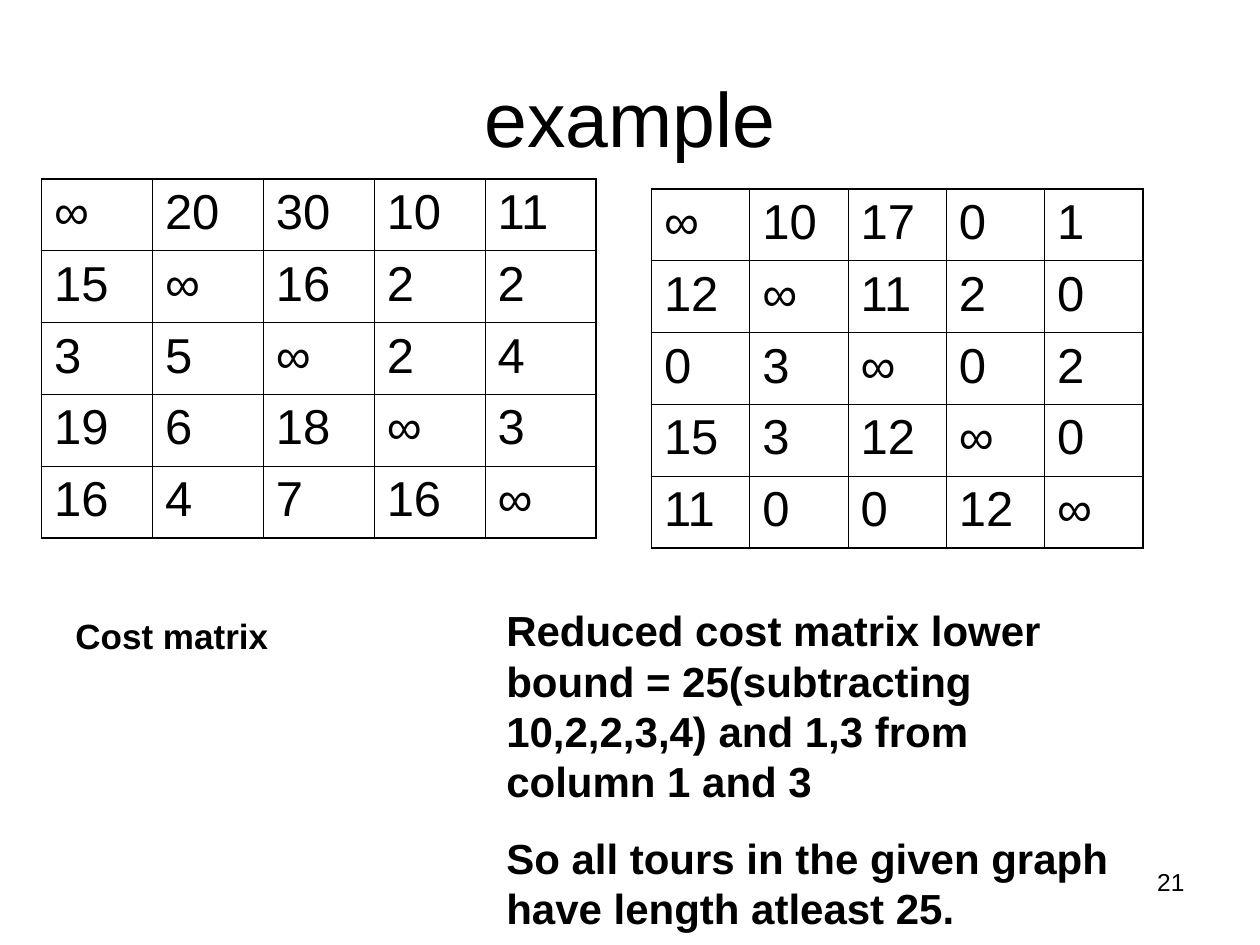
from lxml import etree
from pptx import Presentation
from pptx import util as u
from pptx.dml.color import RGBColor
from pptx.enum import text
from pptx.oxml.ns import qn

SLIDE_W, SLIDE_H = 10, 7.5
FONT, INK = "Arial", "000000"
OUTER, INNER = 1.08, 0.45  # border widths in points
ROW_H = 0.57

# Content: matrices as (left, top, column width, rows)
cost_matrix = (0.33, 1.42, 0.88, [
    "∞ 20 30 10 11",
    "15 ∞ 16 2 2",
    "3 5 ∞ 2 4",
    "19 6 18 ∞ 3",
    "16 4 7 16 ∞",
])
reduced_matrix = (5.17, 1.5, 0.78, [
    "∞ 10 17 0 1",
    "12 ∞ 11 2 0",
    "0 3 ∞ 0 2",
    "15 3 12 ∞ 0",
    "11 0 0 12 ∞",
])

# Content: captions as (box, size, bold, space before, align, anchor, grows, paragraphs)
LEFT, CENTER, RIGHT = text.PP_ALIGN.LEFT, text.PP_ALIGN.CENTER, text.PP_ALIGN.RIGHT
TOP, MIDDLE = text.MSO_ANCHOR.TOP, text.MSO_ANCHOR.MIDDLE
captions = [
    ((0.5, 0.3, 9, 1.25), 44, False, 0, CENTER, MIDDLE, False, ["example"]),
    ((3.92, 4.75, 5, 2.71), 24, True, 15, LEFT, TOP, True, [
        "Reduced cost matrix lower bound = 25(subtracting 10,2,2,3,4) "
        "and 1,3 from column 1 and 3",
        "So all tours in the given graph have length atleast 25.",
    ]),
    ((0.5, 4.83, 4.08, 0.44), 20, True, 12.5, LEFT, TOP, True, ["Cost matrix"]),
    ((7.17, 6.83, 2.33, 0.52), 14, False, 0, RIGHT, TOP, False, ["21"]),
]


def color(hex_string):
    return RGBColor.from_string(hex_string)


def write(paragraph, words, size, bold=False, before=0, align=LEFT):
    paragraph.alignment = align
    paragraph.space_before = u.Pt(before)
    run = paragraph.add_run()
    run.text = words
    run.font.name, run.font.size, run.font.bold = FONT, u.Pt(size), bold
    run.font.color.rgb = color(INK)


def set_borders(cell, widths):
    """Draw the left, right, top and bottom borders, which precede the fill."""
    props = cell._tc.get_or_add_tcPr()
    for place, (side, width) in enumerate(widths.items()):
        line = etree.Element(qn(f"a:ln{side}"), w=str(int(u.Pt(width))))
        fill = etree.SubElement(line, qn("a:solidFill"))
        etree.SubElement(fill, qn("a:srgbClr"), val=INK)
        props.insert(place, line)


def add_matrix(slide, left, top, col_w, lines):
    rows = [line.split() for line in lines]
    last = len(rows) - 1
    size = len(rows)
    table = slide.shapes.add_table(
        size, size, u.Inches(left), u.Inches(top),
        u.Inches(col_w * size), u.Inches(ROW_H * size)).table
    table.first_row = table.horz_banding = False
    for column in table.columns:
        column.width = u.Inches(col_w)
    for r, row in enumerate(rows):
        table.rows[r].height = u.Inches(ROW_H)
        for c, value in enumerate(row):
            cell = table.cell(r, c)
            cell.fill.background()
            write(cell.text_frame.paragraphs[0], value, 28, before=7)
            set_borders(cell, {
                "L": OUTER if c == 0 else INNER,
                "R": OUTER if c == last else INNER,
                "T": OUTER if r == 0 else INNER,
                "B": OUTER if r == last else INNER,
            })


def add_caption(slide, box, size, bold, before, align, anchor, grows, paragraphs):
    frame = slide.shapes.add_textbox(*map(u.Inches, box)).text_frame
    frame.word_wrap = True
    frame.vertical_anchor = anchor
    frame.auto_size = (text.MSO_AUTO_SIZE.SHAPE_TO_FIT_TEXT if grows
                       else text.MSO_AUTO_SIZE.NONE)
    for i, words in enumerate(paragraphs):
        paragraph = frame.add_paragraph() if i else frame.paragraphs[0]
        write(paragraph, words, size, bold, before, align)


def main():
    deck = Presentation()
    deck.slide_width, deck.slide_height = u.Inches(SLIDE_W), u.Inches(SLIDE_H)
    slide = deck.slides.add_slide(deck.slide_layouts[6])
    # Title, matrices, then the notes under them and the page number
    title, *notes = captions
    add_caption(slide, *title)
    for matrix in (cost_matrix, reduced_matrix):
        add_matrix(slide, *matrix)
    for note in notes:
        add_caption(slide, *note)
    deck.save("out.pptx")


if __name__ == "__main__":
    main()
